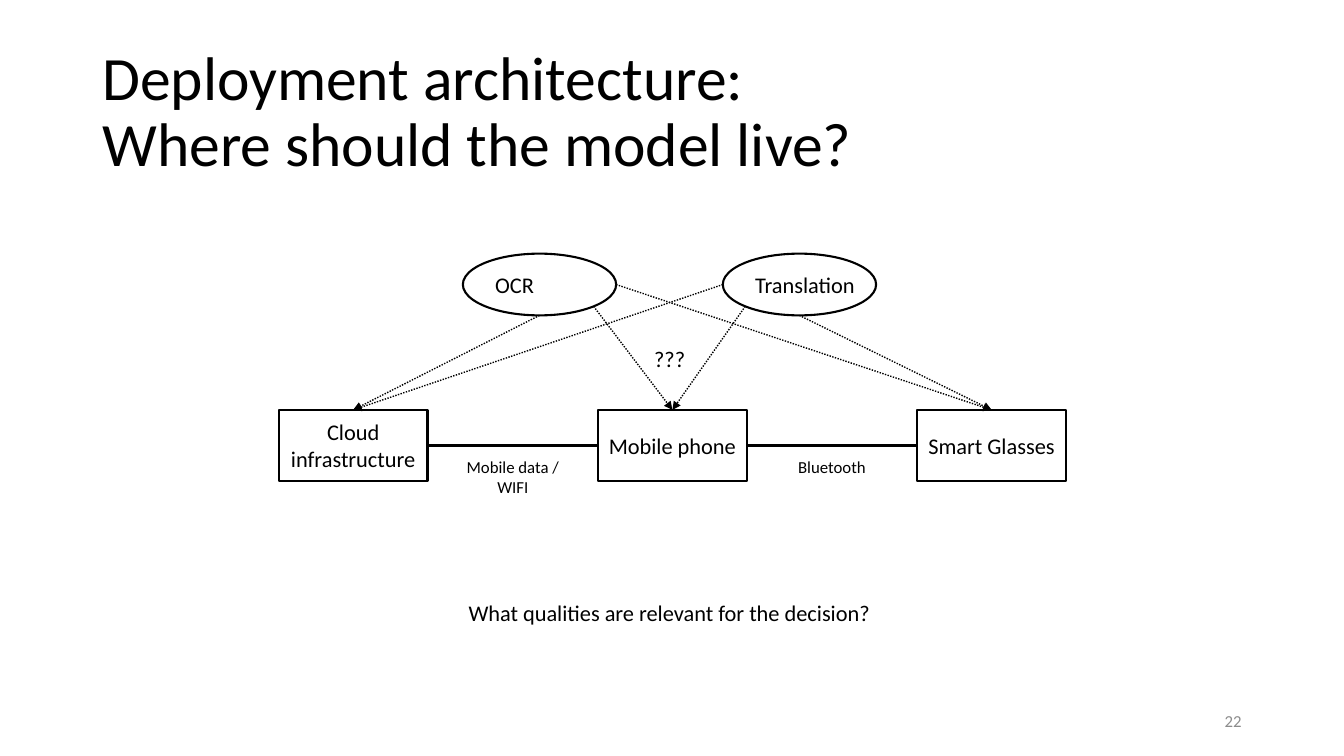
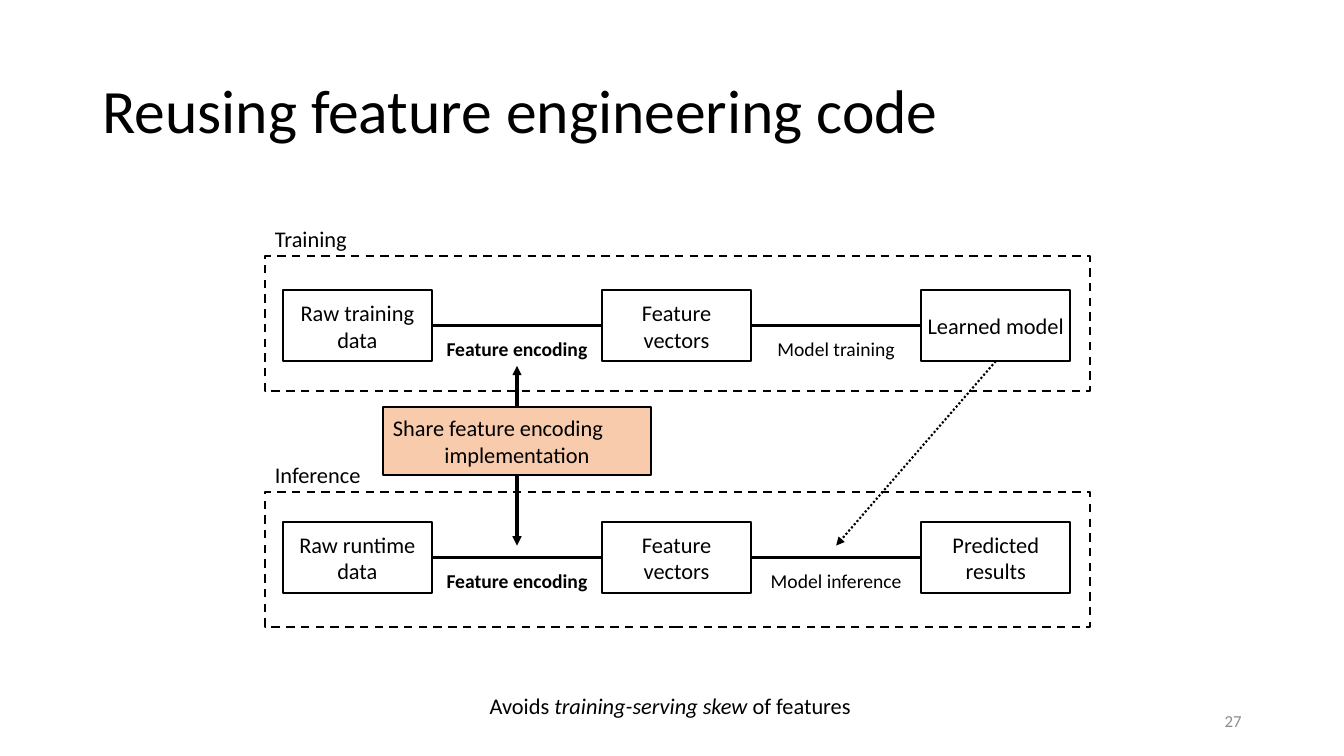
from dataclasses import dataclass
from itertools import pairwise
from math import cos, pi, sin
from typing import NamedTuple

from lxml.etree import SubElement
from pptx import Presentation
from pptx.dml.color import RGBColor
from pptx.enum.dml import MSO_LINE
from pptx.enum.shapes import MSO_CONNECTOR, MSO_SHAPE
from pptx.enum.text import MSO_ANCHOR, MSO_AUTO_SIZE, PP_ALIGN
from pptx.oxml.ns import qn
from pptx.presentation import Presentation as Deck
from pptx.shapes.autoshape import Shape
from pptx.shapes.connector import Connector
from pptx.slide import Slide
from pptx.util import Emu, Inches, Pt

COLUMNS, ROWS = 160, 90
WIDTH, HEIGHT = Inches(13.333), Inches(7.5)
POINTS_PER_ROW = 6
TOP, LEFT, BOTTOM, RIGHT = range(4)


@dataclass(frozen=True)
class Theme:
    font: str = "Calibri"
    ink: RGBColor = RGBColor(0x00, 0x00, 0x00)
    muted: RGBColor = RGBColor(0x8C, 0x8C, 0x8C)
    highlight: RGBColor = RGBColor(0xF8, 0xCB, 0xAD)
    title: int = 44
    body: int = 16
    label: int = 14
    small: int = 12
    hairline: float = 1
    outline: float = 1.5
    link: float = 2.25


THEME = Theme()


class Point(NamedTuple):
    column: float
    row: float


class Area(NamedTuple):
    column: float
    row: float
    columns: float
    rows: float

    @property
    def centre(self) -> Point:
        return Point(self.column + self.columns / 2, self.row + self.rows / 2)

    def rim(self, degrees: float) -> Point:
        angle = degrees * pi / 180
        return Point(self.centre.column + self.columns / 2 * cos(angle),
                     self.centre.row + self.rows / 2 * sin(angle))


class Link(NamedTuple):
    text: str
    columns: float
    size: int = THEME.label
    bold: bool = False


@dataclass(frozen=True)
class Chain:
    column: float
    row: float
    stages: tuple[str, ...]
    links: tuple[Link, ...]
    pitch: float = 38
    stage_columns: float = 17.7
    stage_rows: float = 8.45

    def stage_area(self, index: int) -> Area:
        return Area(self.column + index * self.pitch, self.row,
                    self.stage_columns, self.stage_rows)

    def gap_centre(self, index: int) -> float:
        return self.stage_area(index).centre.column + self.pitch / 2


class Phase(NamedTuple):
    name: str
    name_columns: float
    frame: Area
    chain: Chain


def across(columns: float) -> Emu:
    return Emu(round(WIDTH * columns / COLUMNS))


def down(rows: float) -> Emu:
    return Emu(round(HEIGHT * rows / ROWS))


def place(area: Area) -> tuple[Emu, Emu, Emu, Emu]:
    return across(area.column), down(area.row), across(area.columns), down(area.rows)


def write(shape: Shape, text: str, size: int, align: PP_ALIGN = PP_ALIGN.LEFT,
          anchor: MSO_ANCHOR = MSO_ANCHOR.MIDDLE, wrap: bool = False,
          color: RGBColor = THEME.ink, bold: bool = False) -> None:
    frame = shape.text_frame
    frame.word_wrap = wrap
    frame.vertical_anchor = anchor
    frame.text = text if "*" not in text else ""
    if "*" in text:
        for index, part in enumerate(text.split("*")):
            run = frame.paragraphs[0].add_run()
            run.text = part
            if index % 2:
                run.font.italic = True
    for paragraph in frame.paragraphs:
        paragraph.alignment = align
        paragraph.font.name = THEME.font
        paragraph.font.size = Pt(size)
        paragraph.font.color.rgb = color
        paragraph.font.bold = bold


def add_label(slide: Slide, text: str, column: float, row: float, columns: float,
              size: int = THEME.body, align: PP_ALIGN = PP_ALIGN.LEFT,
              bold: bool = False) -> None:
    lines = text.count("\n") + 1
    rows = lines * size * 1.22 / POINTS_PER_ROW + 1.2
    label = slide.shapes.add_textbox(*place(Area(column, row, columns, rows)))
    write(label, text, size, align, MSO_ANCHOR.TOP, bold=bold)
    label.text_frame.auto_size = MSO_AUTO_SIZE.SHAPE_TO_FIT_TEXT


def add_outline(slide: Slide, area: Area, kind: MSO_SHAPE = MSO_SHAPE.RECTANGLE,
                fill: RGBColor | None = None, dash: MSO_LINE | None = None) -> Shape:
    shape = slide.shapes.add_shape(kind, *place(area))
    shape.shadow.inherit = False
    if fill is None:
        shape.fill.background()
    else:
        shape.fill.solid()
        shape.fill.fore_color.rgb = fill
    shape.line.color.rgb = THEME.ink
    shape.line.width = Pt(THEME.outline)
    if dash is not None:
        shape.line.dash_style = dash
    return shape


def add_line(slide: Slide, start: Point, end: Point, width: float = THEME.link,
             dash: MSO_LINE | None = None, arrow: bool = False) -> Connector:
    line = slide.shapes.add_connector(
        MSO_CONNECTOR.STRAIGHT, across(start.column), down(start.row),
        across(end.column), down(end.row))
    line.line.color.rgb = THEME.ink
    line.line.width = Pt(width)
    if dash is not None:
        line.line.dash_style = dash
    properties = line._element.spPr
    if arrow:
        SubElement(properties.find(qn("a:ln")), qn("a:tailEnd"), type="triangle")
    SubElement(properties, qn("a:effectLst"))
    return line


def add_chain(slide: Slide, chain: Chain) -> list[Shape]:
    stages = []
    for index, text in enumerate(chain.stages):
        stage = add_outline(slide, chain.stage_area(index))
        write(stage, text, THEME.body, PP_ALIGN.CENTER)
        stages.append(stage)
    middle = chain.stage_area(0).centre.row
    for index, (before, after) in enumerate(pairwise(stages)):
        line = add_line(slide, chain.stage_area(index).centre,
                        chain.stage_area(index + 1).centre)
        line.begin_connect(before, RIGHT)
        line.end_connect(after, LEFT)
        link = chain.links[index]
        add_label(slide, link.text, chain.gap_centre(index) - link.columns / 2,
                  middle + 0.7, link.columns, link.size, PP_ALIGN.CENTER, link.bold)
    return stages


def add_slide(deck: Deck, title: str, number: int) -> Slide:
    slide = deck.slides.add_slide(deck.slide_layouts[6])
    heading = slide.shapes.add_textbox(*place(Area(11, 4.8, 138, 17.4)))
    write(heading, title, THEME.title, wrap=True)
    heading.text_frame.paragraphs[0].line_spacing = 0.9
    page = slide.shapes.add_textbox(*place(Area(113, 83.4, 36, 4.8)))
    write(page, str(number), THEME.small, PP_ALIGN.RIGHT, wrap=True, color=THEME.muted)
    return slide


def build_deployment(deck: Deck) -> None:
    slide = add_slide(deck, "Deployment architecture:\vWhere should the model live?", 22)
    chain = Chain(33.2, 48.8,
                  ("Cloud\ninfrastructure", "Mobile phone", "Smart Glasses"),
                  (Link("Mobile data /\nWIFI", 13.5, THEME.small),
                   Link("Bluetooth", 10.5, THEME.small)))
    hosts = add_chain(slide, chain)
    models = (("OCR", 55.1, (90, 45, 0)), ("Translation", 86.05, (180, 135, 90)))
    for name, column, angles in models:
        area = Area(column, 30.2, 18.25, 7.35)
        write(add_outline(slide, area, MSO_SHAPE.OVAL), name, THEME.body)
        for index, (host, angle) in enumerate(zip(hosts, angles)):
            option = add_line(slide, area.rim(angle), chain.stage_area(index).centre,
                              THEME.hairline, MSO_LINE.ROUND_DOT, arrow=True)
            option.end_connect(host, TOP)
    add_label(slide, "???", 76.7, 40.45, 6.1)
    add_label(slide, "What qualities are relevant for the decision?", 54.6, 70.7, 50.9)


def build_feature_reuse(deck: Deck) -> None:
    slide = add_slide(deck, "Reusing feature engineering code", 27)
    encoding = Link("Feature encoding", 19.3, bold=True)
    training = Chain(33.7, 34.55,
                     ("Raw training\ndata", "Feature\nvectors", "Learned model"),
                     (encoding, Link("Model training", 16.6)))
    inference = Chain(33.7, 62.15,
                      ("Raw runtime\ndata", "Feature\nvectors", "Predicted\nresults"),
                      (encoding, Link("Model inference", 18.1)))
    phases = (Phase("Training", 11.05, Area(31.55, 30.5, 98.2, 16.05), training),
              Phase("Inference", 12.7, Area(31.55, 58.55, 98.2, 16.05), inference))
    stages = []
    for phase in phases:
        stages.append(add_chain(slide, phase.chain))
        add_outline(slide, phase.frame, dash=MSO_LINE.DASH)
        add_label(slide, phase.name, phase.frame.column, phase.frame.row - 4.25,
                  phase.name_columns)

    encoding_column = training.gap_centre(0)
    shared_area = Area(encoding_column - 15.95, 48.5, 31.9, 8.05)
    shared = add_outline(slide, shared_area, fill=THEME.highlight)
    write(shared, "Share feature encoding\nimplementation", THEME.body, PP_ALIGN.CENTER)
    shared.text_frame.paragraphs[0].alignment = PP_ALIGN.LEFT
    for side, row in ((TOP, 43.55), (BOTTOM, 64.95)):
        arrow = add_line(slide, shared_area.centre, Point(encoding_column, row), arrow=True)
        arrow.begin_connect(shared, side)
    deploy = add_line(slide, training.stage_area(2).centre,
                      Point(inference.gap_centre(1), 64.95),
                      THEME.outline, MSO_LINE.ROUND_DOT, arrow=True)
    deploy.begin_connect(stages[0][2], BOTTOM)
    add_label(slide, "Avoids *training-serving skew* of features", 57.1, 81.75, 45.8)


def main() -> None:
    deck = Presentation()
    deck.slide_width, deck.slide_height = WIDTH, HEIGHT
    build_deployment(deck)
    build_feature_reuse(deck)
    deck.save("out.pptx")


if __name__ == "__main__":
    main()
